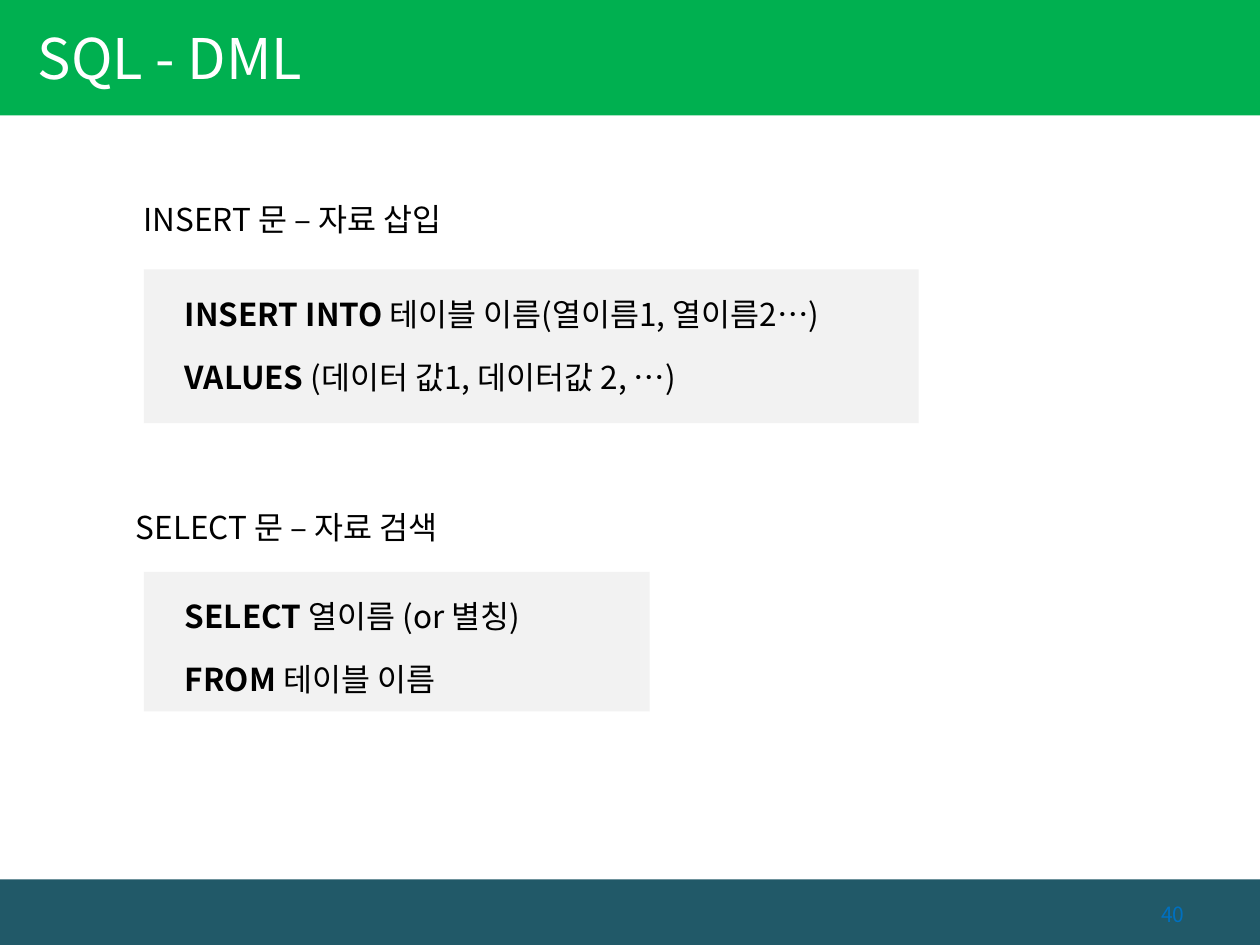
from dataclasses import dataclass

import lxml.etree
import pptx
import pptx.dml.color
import pptx.enum.shapes
import pptx.enum.text
import pptx.oxml.ns
import pptx.util
from pptx.util import Cm

FONT = "Noto Sans CJK KR"
COLORS = {
    "white": "FFFFFF",
    "black": "000000",
    "header": "00B050",
    "footer": "215968",
    "blue": "0070C0",
    "panel": "F2F2F2",
}
ANCHORS = pptx.enum.text.MSO_ANCHOR


@dataclass
class Box:
    """A rectangle in centimetres."""
    left: float
    top: float
    width: float
    height: float

    def lengths(self) -> tuple:
        return Cm(self.left), Cm(self.top), Cm(self.width), Cm(self.height)


@dataclass
class Statement:
    """A heading with a panel of (keyword, rest) syntax lines under it."""
    heading: str
    heading_box: Box
    panel_box: Box
    lines: list[tuple[str, str]]


STATEMENTS = [
    Statement(
        "INSERT 문 – 자료 삽입", Box(2.64, 3.53, 9.04, 1.4), Box(2.9, 5.43, 15.62, 3.1),
        [("INSERT INTO ", "테이블 이름(열이름1, 열이름2…)"),
         ("VALUES", " (데이터 값1, 데이터값 2, …)")],
    ),
    Statement(
        "SELECT 문 – 자료 검색", Box(2.49, 9.73, 9.04, 1.4), Box(2.9, 11.53, 10.2, 2.81),
        [("SELECT ", "열이름 (or 별칭)"), ("FROM ", "테이블 이름")],
    ),
]


def color(name: str) -> pptx.dml.color.RGBColor:
    return pptx.dml.color.RGBColor.from_string(COLORS[name])


def add_rectangle(slide, box: Box, fill: str):
    shape = slide.shapes.add_shape(
        pptx.enum.shapes.MSO_SHAPE.RECTANGLE, *box.lengths())
    shape.shadow.inherit = False
    shape.fill.solid()
    shape.fill.fore_color.rgb = color(fill)
    shape.line.fill.background()
    return shape


def format_run(run, size: float, color_name: str, bold: bool = False) -> None:
    run.font.size = pptx.util.Pt(size)
    run.font.bold = bold
    run.font.color.rgb = color(color_name)
    run.font.name = FONT
    east_asian = lxml.etree.SubElement(run.font._element, pptx.oxml.ns.qn("a:ea"))
    east_asian.set("typeface", FONT)


def set_frame(text_frame, left: float, anchor) -> None:
    text_frame.word_wrap = True
    text_frame.auto_size = pptx.enum.text.MSO_AUTO_SIZE.NONE
    text_frame.vertical_anchor = anchor
    text_frame.margin_left = Cm(left)
    text_frame.margin_top = text_frame.margin_bottom = 0


def set_paragraph(paragraph, parts: list[tuple[str, bool]]) -> None:
    """Write (text, bold) parts as one widely spaced line."""
    paragraph.alignment = pptx.enum.text.PP_ALIGN.LEFT
    paragraph.line_spacing = pptx.util.Pt(36)
    for text, bold in parts:
        run = paragraph.add_run()
        run.text = text
        format_run(run, 18, "black", bold)


def add_statement(slide, statement: Statement) -> None:
    heading = slide.shapes.add_textbox(*statement.heading_box.lengths())
    set_frame(heading.text_frame, 0.25, ANCHORS.TOP)
    set_paragraph(heading.text_frame.paragraphs[0], [(statement.heading, False)])

    panel = add_rectangle(slide, statement.panel_box, "panel")
    text_frame = panel.text_frame
    set_frame(text_frame, 0.83, ANCHORS.TOP)
    for index, (keyword, rest) in enumerate(statement.lines):
        paragraph = text_frame.add_paragraph() if index else text_frame.paragraphs[0]
        set_paragraph(paragraph, [(keyword, True), (rest, False)])


def add_title(slide, text: str) -> None:
    title = slide.shapes.title
    title.left, title.top, title.width, title.height = Box(0, -0.05, 15.9, 2.39).lengths()
    set_frame(title.text_frame, 0.76, ANCHORS.MIDDLE)
    title.text_frame.text = text
    paragraph = title.text_frame.paragraphs[0]
    paragraph.alignment = pptx.enum.text.PP_ALIGN.LEFT
    format_run(paragraph.runs[0], 32, "white")
    # Bring the title in front of the header band.
    slide.shapes._spTree.append(title._element)


def add_page_number(slide, text: str) -> None:
    number = slide.shapes.add_textbox(*Box(21.9, 17.93, 2.23, 1).lengths())
    set_frame(number.text_frame, 0.25, ANCHORS.MIDDLE)
    number.text_frame.text = text
    paragraph = number.text_frame.paragraphs[0]
    paragraph.alignment = pptx.enum.text.PP_ALIGN.RIGHT
    format_run(paragraph.runs[0], 12, "blue")


def main() -> None:
    presentation = pptx.Presentation()
    presentation.slide_width, presentation.slide_height = Cm(25.4), Cm(19.05)
    slide = presentation.slides.add_slide(presentation.slide_layouts[5])

    add_rectangle(slide, Box(0, 17.73, 25.4, 1.32), "footer")
    add_rectangle(slide, Box(0, 0, 25.4, 2.33), "header")
    add_title(slide, "SQL - DML")
    for statement in STATEMENTS:
        add_statement(slide, statement)
    add_page_number(slide, "40")
    presentation.save("out.pptx")


if __name__ == "__main__":
    main()
